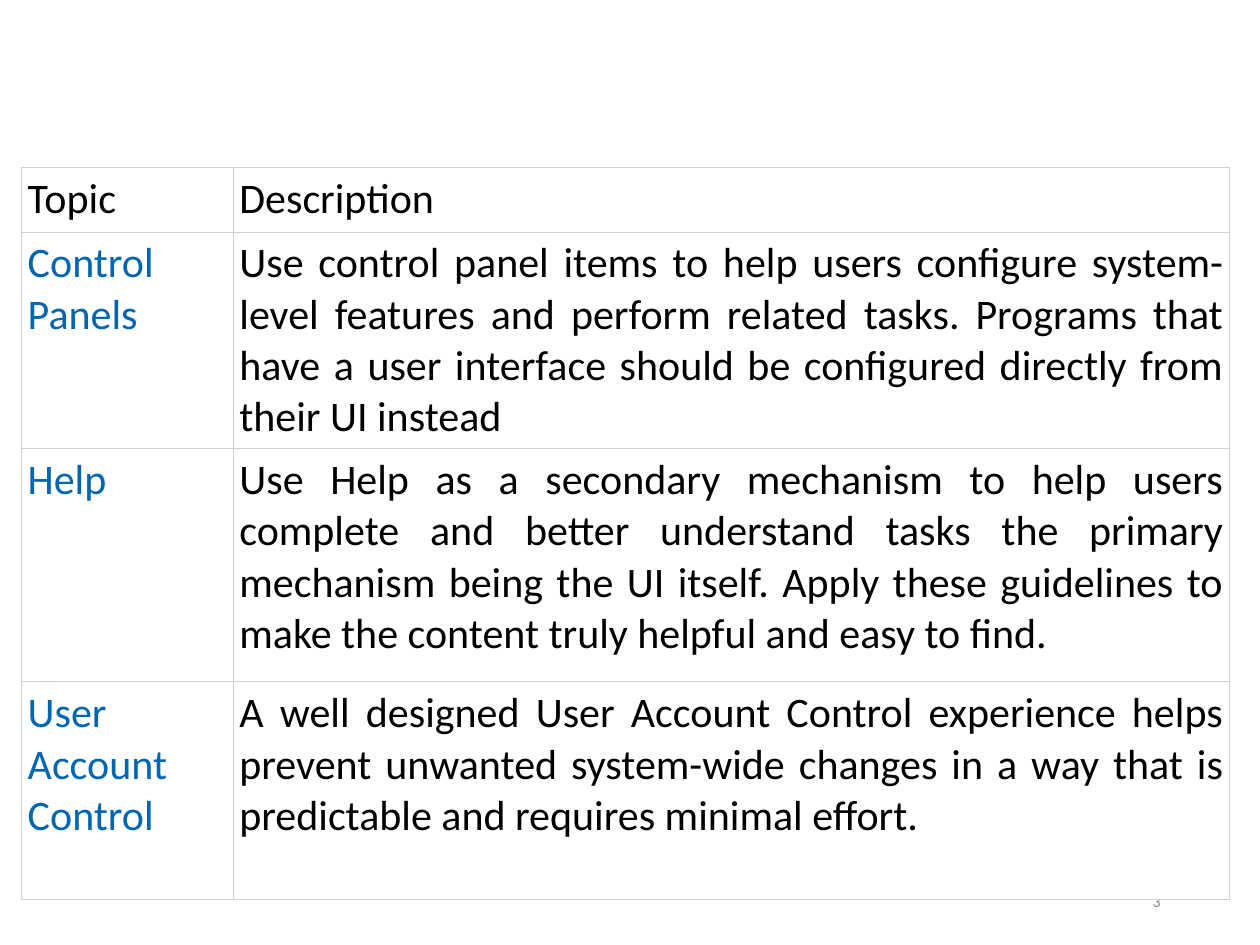
from dataclasses import dataclass

from lxml.etree import SubElement
from pptx import Presentation
from pptx.dml.color import RGBColor as RGB
from pptx.enum.text import MSO_ANCHOR as Anchor, PP_ALIGN as Align
from pptx.oxml.ns import qn
from pptx.util import Inches, Pt


@dataclass(frozen=True)
class Theme:
    """Fonts, type sizes and colours of the slide."""
    font: str = "Calibri"
    body: float = 24
    small: float = 9
    text: str = "000000"
    topic: str = "0065B3"
    muted: str = "898989"
    paper: str = "FFFFFF"
    rule: str = "D1D1D1"
    rule_width: float = 0.34


THEME = Theme()
COLUMNS = (1.68, 7.91)
ROWS = (0.51, 1.72, 1.85, 1.73)
TOPICS = (
    ("Topic", "Description"),
    ("Control Panels",
     "Use control panel items to help users configure system-level features "
     "and perform related tasks. Programs that have a user interface should "
     "be configured directly from their UI instead"),
    ("Help",
     "Use Help as a secondary mechanism to help users complete and better "
     "understand tasks the primary mechanism being the UI itself. Apply these "
     "guidelines to make the content truly helpful and easy to find."),
    ("User Account Control",
     "A well designed User Account Control experience helps prevent unwanted "
     "system-wide changes in a way that is predictable and requires minimal "
     "effort."),
)


def write(tf, text, size, color, align):
    """Put one formatted paragraph into a text frame."""
    tf.word_wrap = True
    p = tf.paragraphs[0]
    p.text = text
    p.alignment = align
    font = p.runs[0].font
    font.name, font.size = THEME.font, Pt(size)
    font.color.rgb = RGB.from_string(color)


def style_cell(cell):
    """Give a cell its borders, fill and margins."""
    tc_pr = cell._tc.get_or_add_tcPr()
    for side in ("a:lnL", "a:lnR", "a:lnT", "a:lnB"):
        ln = SubElement(tc_pr, qn(side), w=str(Pt(THEME.rule_width)))
        fill = SubElement(ln, qn("a:solidFill"))
        SubElement(fill, qn("a:srgbClr"), val=THEME.rule)
    cell.fill.solid()
    cell.fill.fore_color.rgb = RGB.from_string(THEME.paper)
    cell.margin_left = cell.margin_right = Inches(0.05)
    cell.margin_top = cell.margin_bottom = Inches(0.05)


def add_page_number(s, box, number):
    """Place the page number in the given box."""
    tf = s.shapes.add_textbox(*map(Inches, box)).text_frame
    tf.vertical_anchor = Anchor.MIDDLE
    write(tf, str(number), THEME.small, THEME.muted, Align.RIGHT)


def add_topic_table(s, box):
    """Place the table of topics and descriptions in the given box."""
    shape = s.shapes.add_table(len(ROWS), len(COLUMNS), *map(Inches, box))
    table = shape.table
    table.first_row = table.horz_banding = False
    for column, width in zip(table.columns, COLUMNS):
        column.width = Inches(width)
    for i, (row, height) in enumerate(zip(table.rows, ROWS)):
        row.height = Inches(height)
        for j, cell in enumerate(row.cells):
            is_topic = i > 0 and j == 0
            style_cell(cell)
            write(cell.text_frame, TOPICS[i][j], THEME.body,
                  THEME.topic if is_topic else THEME.text,
                  Align.LEFT if is_topic else Align.JUSTIFY)


def main():
    """Build and save the slide."""
    prs = Presentation()
    prs.slide_width, prs.slide_height = Inches(10), Inches(7.5)
    s = prs.slides.add_slide(prs.slide_layouts[6])
    add_page_number(s, (7.06, 6.95, 2.25, 0.4), 3)
    add_topic_table(s, (0.17, 1.33, sum(COLUMNS), sum(ROWS)))
    prs.save("out.pptx")


if __name__ == "__main__":
    main()
